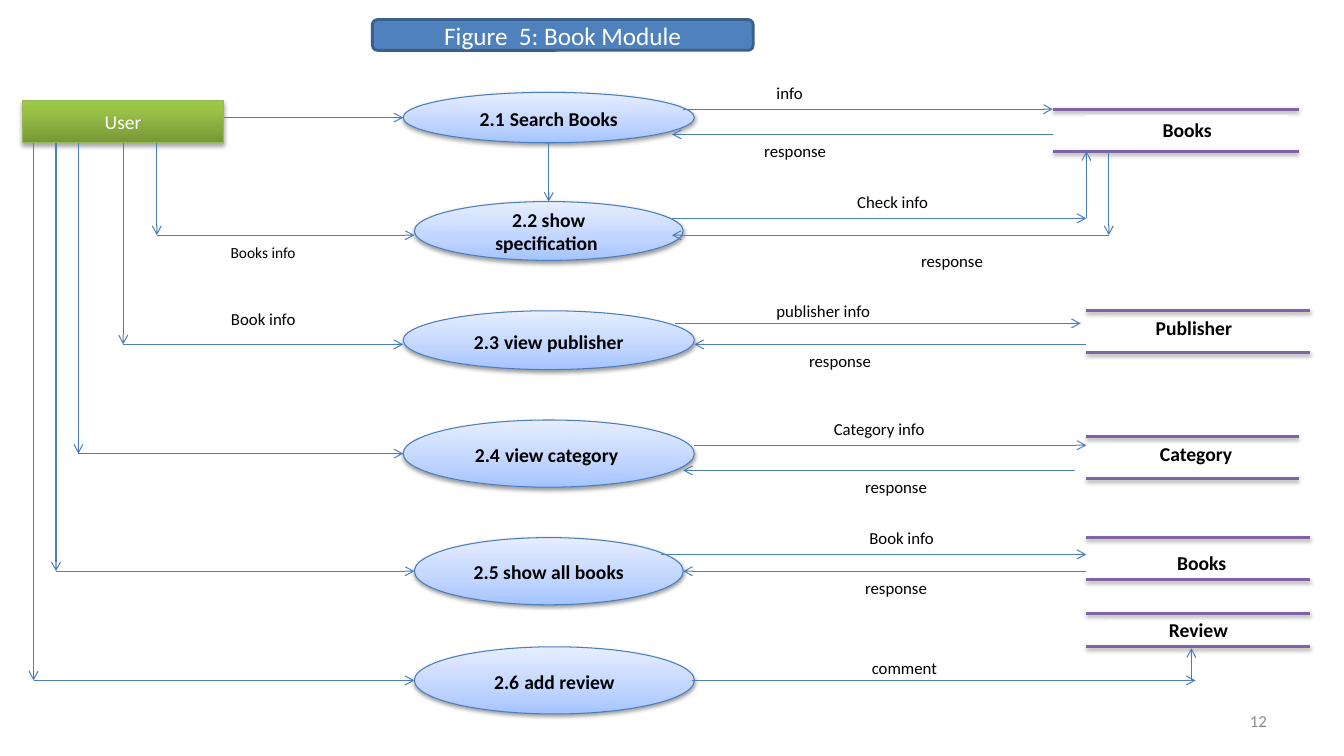
from typing import NamedTuple

import lxml.etree
import pptx
import pptx.dml.color
import pptx.enum.shapes
import pptx.enum.text
import pptx.oxml.ns
import pptx.util

Pt = pptx.util.Pt
RGBColor = pptx.dml.color.RGBColor
qn = pptx.oxml.ns.qn
SHAPES = pptx.enum.shapes.MSO_SHAPE
ALIGN = pptx.enum.text.PP_ALIGN

FONT = "Calibri"
WHITE = RGBColor(0xFF, 0xFF, 0xFF)
BLACK = RGBColor(0x00, 0x00, 0x00)
GREY = RGBColor(0x8C, 0x8C, 0x8C)
FLOW_BLUE = RGBColor(0x4B, 0x7E, 0xBC)
STORE_PURPLE = RGBColor(0x80, 0x64, 0xA2)
USER_BORDER = RGBColor(0x98, 0xB9, 0x55)
TITLE_FILL = RGBColor(0x4F, 0x81, 0xBD)
TITLE_BORDER = RGBColor(0x3A, 0x5F, 0x8C)
USER_STOPS = ((0, RGBColor(0x77, 0x97, 0x37)), (80, RGBColor(0x9B, 0xC3, 0x48)),
              (100, RGBColor(0x9D, 0xC7, 0x46)))
PROCESS_STOPS = ((0, RGBColor(0xA4, 0xC4, 0xFF)), (35, RGBColor(0xBF, 0xD4, 0xFF)),
                 (100, RGBColor(0xE6, 0xEE, 0xFF)))


class Box(NamedTuple):
    left: float
    top: float
    width: float
    height: float


class Process(NamedTuple):
    number: str
    name: str
    box: Box
    gap_size: int = 16


class Label(NamedTuple):
    text: str
    box: Box
    size: int = 12
    bold: bool = False


class Store(NamedTuple):
    left: float
    right: float
    top: float
    bottom: float
    label: Label


class Flow(NamedTuple):
    x1: float
    y1: float
    x2: float
    y2: float


class Drop(NamedTuple):
    """A flow from the user down to a process level, then right to the process."""
    x: float
    y: float
    process_x: float


PROCESSES = (
    Process("2.1", "Search Books", Box(288, 66, 208, 36)),
    Process("2.2", "show specification ", Box(296, 144, 192, 42), 14),
    Process("2.3", "view publisher", Box(288, 222, 208, 42)),
    Process("2.4", "view category ", Box(288, 300, 208, 48)),
    Process("2.5", "show all books", Box(296, 384, 192, 48), 14),
    Process("2.6", "add review", Box(296, 462, 200, 48)),
)
STORES = (
    Store(752, 928, 78, 108, Label("Books", Box(776, 83, 144, 19), 14, True)),
    Store(776, 936, 222, 252, Label("Publisher  ", Box(792, 228, 128, 12), 14, True)),
    Store(776, 928, 312, 342, Label("Category ", Box(792, 318, 128, 12), 14, True)),
    Store(776, 936, 384, 414, Label("Books ", Box(796, 392.5, 128, 19), 14, True)),
    Store(776, 936, 438, 462, Label("Review", Box(792, 444, 128, 12), 14, True)),
)
DROPS = (Drop(112, 168, 296), Drop(88, 246, 288), Drop(56, 324, 288),
         Drop(40, 408, 296), Drop(24, 486, 296))
FLOWS = (
    Flow(160, 84, 288, 84), Flow(392, 102, 392, 144),
    # Search Books and Books
    Flow(488, 78, 752, 78), Flow(752, 96, 480, 96),
    # Show specification and Books
    Flow(480, 156, 776, 156), Flow(776, 156, 776, 108),
    Flow(792, 108, 792, 168), Flow(792, 168, 480, 168),
    # View publisher and Publisher
    Flow(482, 231, 772, 231), Flow(776, 246, 496, 246),
    # View category and Category
    Flow(496, 318, 776, 318), Flow(768, 336, 488, 336),
    # Show all books and Books
    Flow(472, 396, 776, 396), Flow(776, 408, 488, 408),
    # Add review and Review
    Flow(494, 486, 854, 486), Flow(851, 486, 851, 463),
)
FLOW_LABELS = (
    Label("info", Box(520, 60, 88, 12)),
    Label("response", Box(512, 102, 112, 12)),
    Label("Check info ", Box(595, 138, 88, 12)),
    Label("response", Box(624, 180, 112, 12)),
    Label("Books info", Box(112, 174, 152, 12), 11),
    Label("Book info", Box(136, 222, 104, 12)),
    Label("publisher info", Box(536, 216, 104, 12)),
    Label("response", Box(544, 252, 112, 12)),
    Label("Category info", Box(576, 300, 104, 12)),
    Label("response", Box(584, 342, 112, 12)),
    Label("Book info", Box(576, 378, 136, 12)),
    Label("response", Box(584, 414, 112, 12)),
    Label("comment", Box(590, 471, 112, 12)),
)

presentation = pptx.Presentation()
presentation.slide_width, presentation.slide_height = Pt(960), Pt(540)
slide = presentation.slides.add_slide(presentation.slide_layouts[6])


def add_element(parent, tag: str, **attributes: str):
    return lxml.etree.SubElement(parent, qn(tag), attributes)


def add_shadow(effects, opacity: int = 38, distance: float = 1.6) -> None:
    shadow = add_element(effects, "a:outerShdw", blurRad=str(Pt(3.1)), dist=str(Pt(distance)),
                         dir="5400000", rotWithShape="0")
    color = add_element(shadow, "a:srgbClr", val=str(BLACK))
    add_element(color, "a:alpha", val=str(opacity * 1000))


def fill_gradient(shape, stops) -> None:
    shape.fill.gradient()
    shape.fill.gradient_angle = 90
    stop_list = shape.fill._xPr.find(qn("a:gradFill")).find(qn("a:gsLst"))
    stop_list.clear()
    for position, color in stops:
        stop = add_element(stop_list, "a:gs", pos=str(position * 1000))
        add_element(stop, "a:srgbClr", val=str(color))


def format_run(run, size: float, color: RGBColor, bold: bool = False) -> None:
    run.font.name, run.font.size, run.font.bold = FONT, Pt(size), bold
    run.font.color.rgb = color


def write_text(shape, text: str, size: float, color: RGBColor, bold: bool = False,
               align=ALIGN.CENTER) -> None:
    frame = shape.text_frame
    frame.text = text
    frame.word_wrap = True
    frame.vertical_anchor = pptx.enum.text.MSO_ANCHOR.MIDDLE
    frame.paragraphs[0].alignment = align
    for run in frame.paragraphs[0].runs:
        format_run(run, size, color, bold)


def add_box(kind, box: Box, border: RGBColor, border_width: float, fill):
    """A fill is one colour or a sequence of gradient stops."""
    shape = slide.shapes.add_shape(kind, *map(Pt, box))
    if isinstance(fill, RGBColor):
        shape.fill.solid()
        shape.fill.fore_color.rgb = fill
    else:
        fill_gradient(shape, fill)
    shape.line.color.rgb = border
    shape.line.width = Pt(border_width)
    shape.shadow.inherit = False
    return shape


def add_line(flow: Flow, color: RGBColor, width: float):
    """Draw a line and return it with its empty effect list."""
    line = slide.shapes.add_connector(pptx.enum.shapes.MSO_CONNECTOR.STRAIGHT, *map(Pt, flow))
    line.line.color.rgb = color
    line.line.width = Pt(width)
    return line, add_element(line._element.spPr, "a:effectLst")


def add_arrow(flow: Flow) -> None:
    arrow, _ = add_line(flow, FLOW_BLUE, 0.75)
    add_element(arrow.line._get_or_add_ln(), "a:tailEnd", type="arrow")


def add_label(label: Label) -> None:
    shape = add_box(SHAPES.RECTANGLE, label.box, WHITE, 2, WHITE)
    write_text(shape, label.text, label.size, BLACK, label.bold)


def add_process(process: Process) -> None:
    shape = add_box(SHAPES.OVAL, process.box, FLOW_BLUE, 0.75, PROCESS_STOPS)
    add_shadow(shape._element.spPr.find(qn("a:effectLst")))
    write_text(shape, process.number, 14, BLACK, True)
    for text, size in ((" ", process.gap_size), (process.name, 14)):
        run = shape.text_frame.paragraphs[0].add_run()
        run.text = text
        format_run(run, size, BLACK, True)


# Title and user
title = add_box(SHAPES.ROUNDED_RECTANGLE, Box(266, 14, 272, 22), TITLE_BORDER, 2, TITLE_FILL)
write_text(title, "Figure  5: Book Module", 18, WHITE)
user = add_box(SHAPES.RECTANGLE, Box(16, 72, 144, 30), USER_BORDER, 0.75, USER_STOPS)
add_shadow(user._element.spPr.find(qn("a:effectLst")), 35, 1.8)
write_text(user, "User", 14, WHITE)

# Processes and data stores
for process in PROCESSES:
    add_process(process)
for store in STORES:
    for y in (store.top, store.bottom):
        _, effects = add_line(Flow(store.left, y, store.right, y), STORE_PURPLE, 2)
        add_shadow(effects)
    add_label(store.label)

# Flows and their labels
for drop in DROPS:
    add_arrow(Flow(drop.x, 102, drop.x, drop.y))
    add_arrow(Flow(drop.x, drop.y, drop.process_x, drop.y))
for flow in FLOWS:
    add_arrow(flow)
for label in FLOW_LABELS:
    add_label(label)

# Slide number
number_box = slide.shapes.add_textbox(*map(Pt, Box(688, 500, 224, 29)))
write_text(number_box, "12", 12, GREY, align=ALIGN.RIGHT)

presentation.save("out.pptx")
